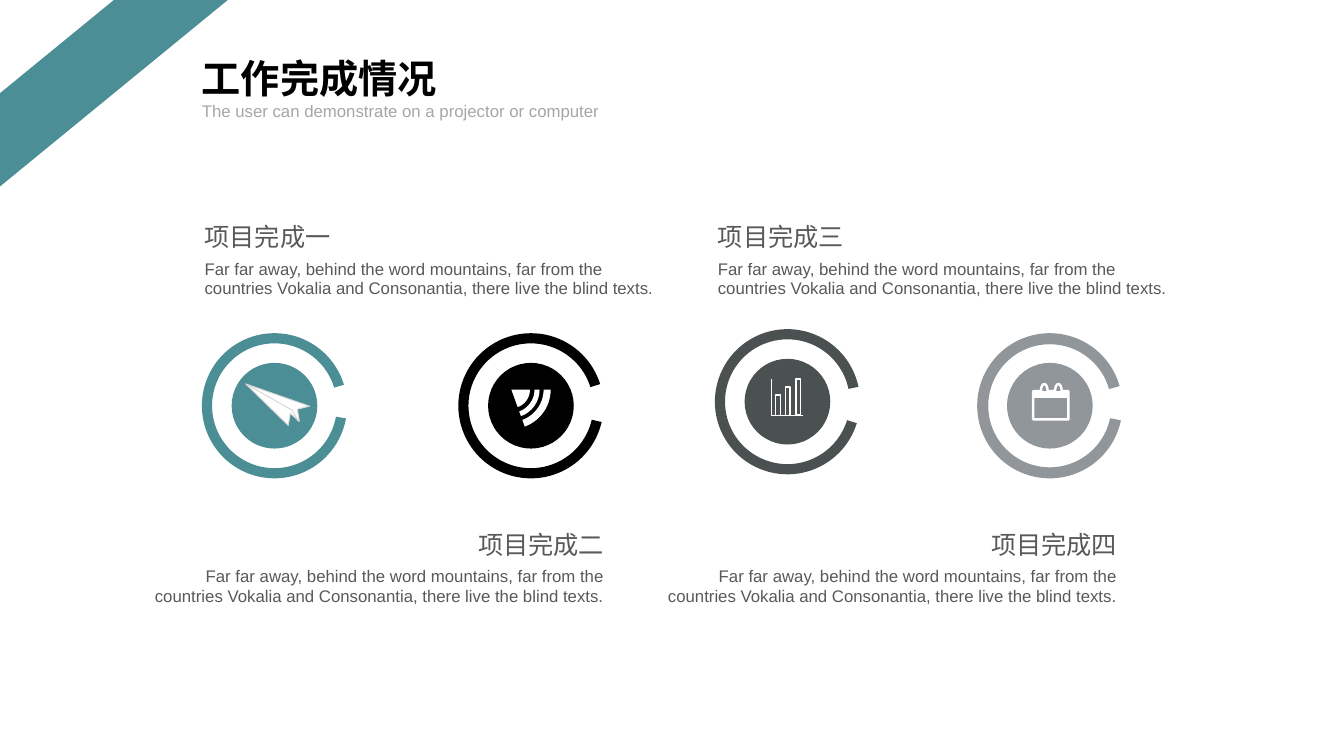
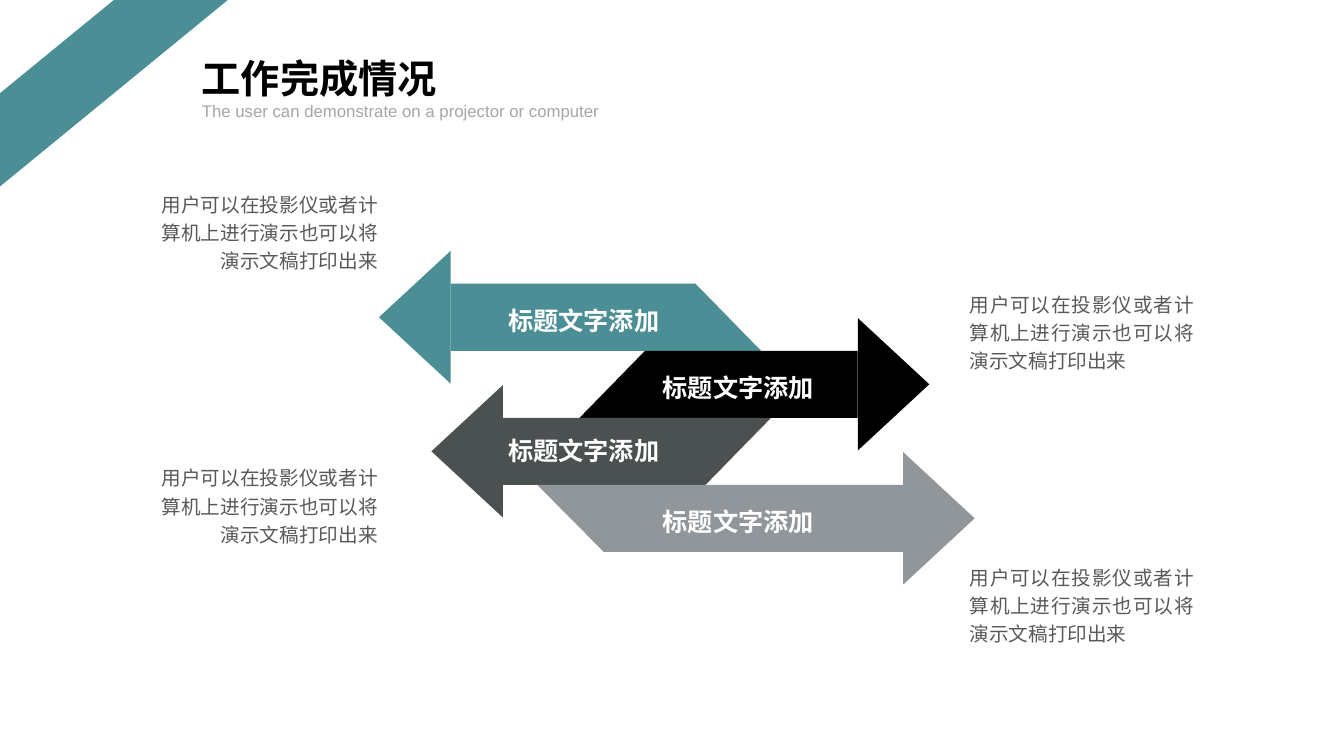
"""Two slides on work progress: four ringed icons and four interlocking arrows."""
from math import cos, pi, radians, sin

from pptx import Presentation
from pptx.dml.color import RGBColor
from pptx.enum.shapes import MSO_SHAPE as SHP
from pptx.enum.text import PP_ALIGN as AL
from pptx.util import Pt

C = {"teal": "4B8E95", "black": "000000", "dark": "4B5050", "grey": "91969B",
     "white": "FFFFFF", "body": "595959", "muted": "A6A6A6", "fold": "D9D9D9"}
FONT = "Arial"

prs = Presentation()
prs.slide_width, prs.slide_height = 12192000, 6858000
CELL = prs.slide_height / 75
layout = prs.slide_layouts[6]


def paint(sp, fill=None, line=None, width=1):
    """Give a shape its fill and line, without a shadow."""
    sp.shadow.inherit = False
    if fill:
        sp.fill.solid()
        sp.fill.fore_color.rgb = RGBColor.from_string(C[fill])
    else:
        sp.fill.background()
    if line:
        sp.line.color.rgb = RGBColor.from_string(C[line])
        sp.line.width = Pt(width)
    else:
        sp.line.fill.background()
    return sp


def outline(s, contours, close=True, **look):
    """Draw one freeform from lists of grid points."""
    scaled = [[(x * CELL, y * CELL) for x, y in pts] for pts in contours]
    fb = s.shapes.build_freeform(*scaled[0][0], scale=1.0)
    for i, pts in enumerate(scaled):
        if i:
            fb.move_to(*pts[0])
        fb.add_line_segments(pts[1:], close=close)
    return paint(fb.convert_to_shape(), **look)


icons, arrows = [prs.slides.add_slide(layout) for _ in range(2)]
stripe = paint(icons.shapes.add_shape(
    SHP.DIAGONAL_STRIPE, 0, 0, int(22.6 * CELL), int(18.5 * CELL)), "teal")
layout.shapes.element.append(stripe.element)

texts = []
for s in (icons, arrows):
    texts += [
        (s, 19.04, 4.9, 25.6, 5.7, "工作完成情况", 28, "black", True, AL.LEFT, None, 1),
        (s, 19.04, 9.5, 55.4, 3, "The user can demonstrate on a projector or computer",
         12, "muted", False, AL.LEFT, None, 1)]

RING, DISC = 14.4, 8.5
rings = [(20.03, 33.05, 225.7, (86.63, 70.46, 0.07), "teal"),
         (45.47, 33.05, 224.9, (88.81, 70.61, 0.07), "black"),
         (70.92, 32.65, 224.7, (91.49, 74.06, 0.07), "dark"),
         (96.95, 33.05, 222.2, (89.65, 73.24, 0.076), "grey")]
for x, y, turn, adj, color in rings:
    gap = (RING - DISC) / 2
    for shape, inset, size in ((SHP.BLOCK_ARC, 0, RING), (SHP.OVAL, gap, DISC)):
        sp = paint(icons.shapes.add_shape(
            shape, *[int(v * CELL) for v in (x + inset, y + inset, size, size)]), color)
        if shape == SHP.BLOCK_ARC:
            sp.rotation = turn
            for i, value in enumerate(adj):
                sp.adjustments[i] = value

nose, crease, keel = (24.4, 38.1), (29, 40.7), (29.6, 41.8)
outline(icons, [[nose, (30.7, 40.3), (29.5, 40.6), (29.7, 41.8), (28.8, 41), (28.6, 42.2), nose],
                [nose, crease, keel, crease, nose]],
        close=False, fill="white", line="fold", width=0)

fan = []
for inner, outer in ((0, 1.85), (2.3, 2.8), (3.2, 3.9)):
    angles = [radians(a) for a in range(0, 71, 5)]
    edge = [(outer, a) for a in angles] + [(inner, a) for a in reversed(angles)]
    fan.append([(50.73, 38.65 + 0) if r == 0 else (50.73 + r * cos(a), 38.65 + r * sin(a))
                for r, a in edge])
outline(icons, fan, fill="white")

outline(icons, [[(76.55, 37.6), (76.55, 41.25), (79.7, 41.25)]], close=False, line="white")
boxes = [(76.97 + i, top, 0.45, bottom - top, None)
         for i, top, bottom in ((0, 39.2, 41.25), (0.95, 38.4, 41.2), (2, 37.6, 41.15))]
boxes.append((102.6, 38.9, 3.4, 0.5, "white"))
for *box, fill in boxes:
    paint(icons.shapes.add_shape(SHP.RECTANGLE, *[int(v * CELL) for v in box]), fill, "white")

loops = [(cx - 0.33 * cos(pi * k / 8), 38.8 - 0.7 * sin(pi * k / 8))
         for cx in (103.6, 105) for k in range(9)]
outline(icons, [[(102.5, 38.8), *loops, (106, 38.8), (106, 41.6), (102.5, 41.6)]],
        line="white", width=1.75)

STORY = ("Far far away, behind the word mountains, far from the "
         "countries Vokalia and Consonantia, there live the blind texts.")
for number, x, y, align in (("一", 20.3, 22, AL.LEFT), ("二", 14.33, 52.53, AL.RIGHT),
                            ("三", 71.22, 22, AL.LEFT), ("四", 65.23, 52.53, AL.RIGHT)):
    texts += [
        (icons, x, y, 45.6, 3, "项目完成" + number, 18, "body", False, align, None, 0),
        (icons, x, y + 3.7, 45.6, 3.9, STORY, 12, "body", False, align, Pt(14), 0)]

TOP, ROW, HEAD, HALF = 28.15, 6.65, 7.1, 6.57
ADVICE = "用户可以在投影仪或者计算机上进行演示也可以将演示文稿打印出来"
bands = [("teal", 37.6, 69, 75.5, 29.2, 18.17), ("black", 92.2, 64, 57.5, 35.8, 28.1),
         ("dark", 42.8, 76.5, 70, 42.1, 45.3), ("grey", 96.7, 53.3, 59.9, 49.15, 55.17)]
for i, (color, tip, upper, lower, label_y, advice_y) in enumerate(bands):
    y0, y1 = TOP + i * ROW, TOP + (i + 1) * ROW
    mid = (y0 + y1) / 2
    leftward = tip < upper
    neck = tip + HEAD if leftward else tip - HEAD
    outline(arrows, [[(neck, y0), (upper, y0), (lower, y1), (neck, y1)]], fill=color)
    outline(arrows, [[(tip, mid), (neck, mid - HALF), (neck, mid + HALF)]], fill=color)
    texts += [
        (arrows, 45.65 if leftward else 61, label_y, 24.5, 4.4, "标题文字添加",
         18, "white", True, AL.CENTER, 1.2, 1),
        (arrows, 14.23 if leftward else 95.2, advice_y, 24.24, 9.5, ADVICE,
         14, "body", False, AL.RIGHT if leftward else AL.JUSTIFY, 1.2, 1)]

for s, x, y, w, h, text, size, color, bold, align, spacing, inset in texts:
    tf = s.shapes.add_textbox(*[int(v * CELL) for v in (x, y, w, h)]).text_frame
    tf.word_wrap = True
    tf.margin_left = tf.margin_right = int(inset * CELL)
    tf.margin_top = tf.margin_bottom = int(inset * CELL / 2)
    p = tf.paragraphs[0]
    p.text = text
    p.alignment, p.line_spacing = align, spacing
    f = p.runs[0].font
    f.name, f.size, f.bold = FONT, Pt(size), bold
    f.color.rgb = RGBColor.from_string(C[color])

prs.save("out.pptx")
